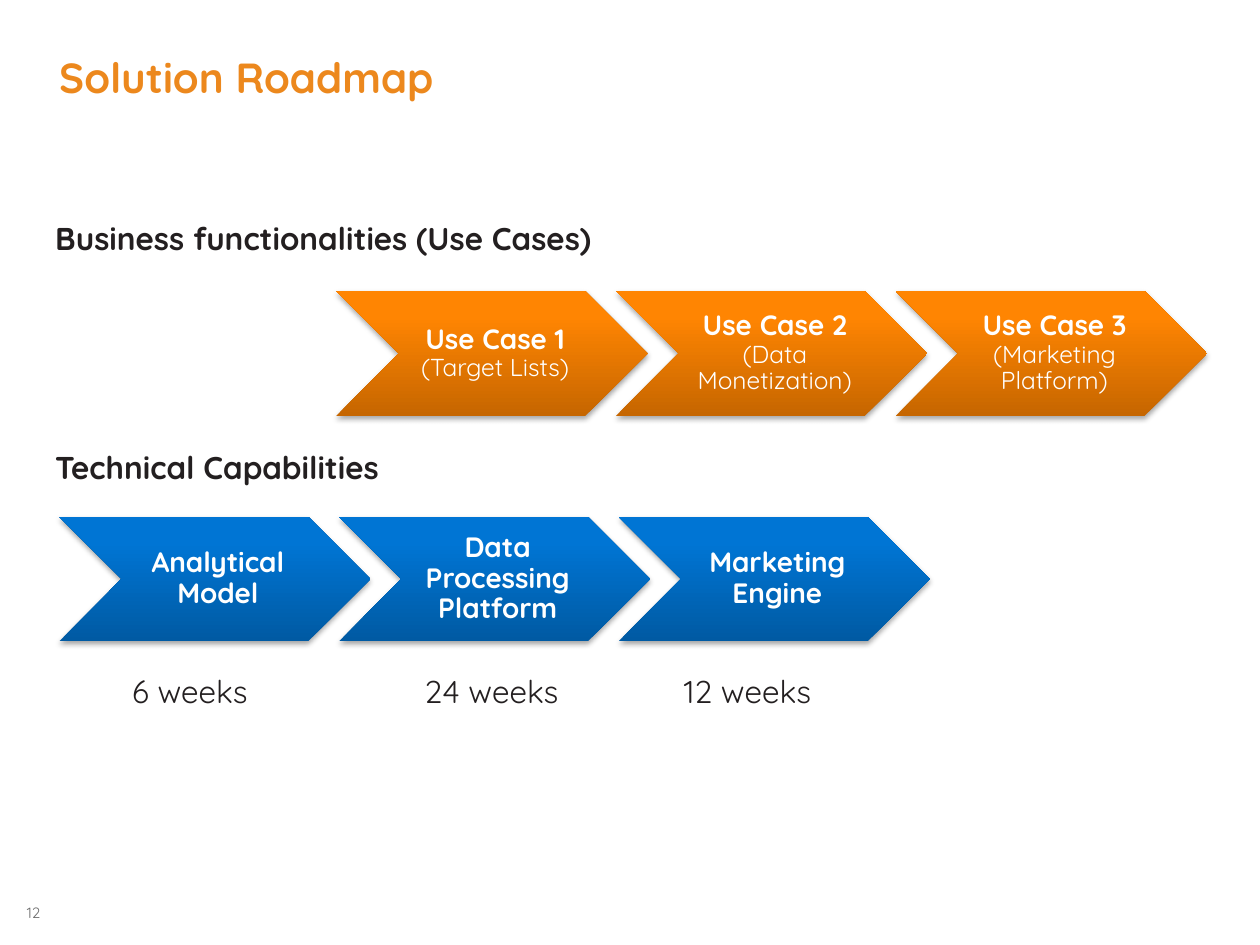
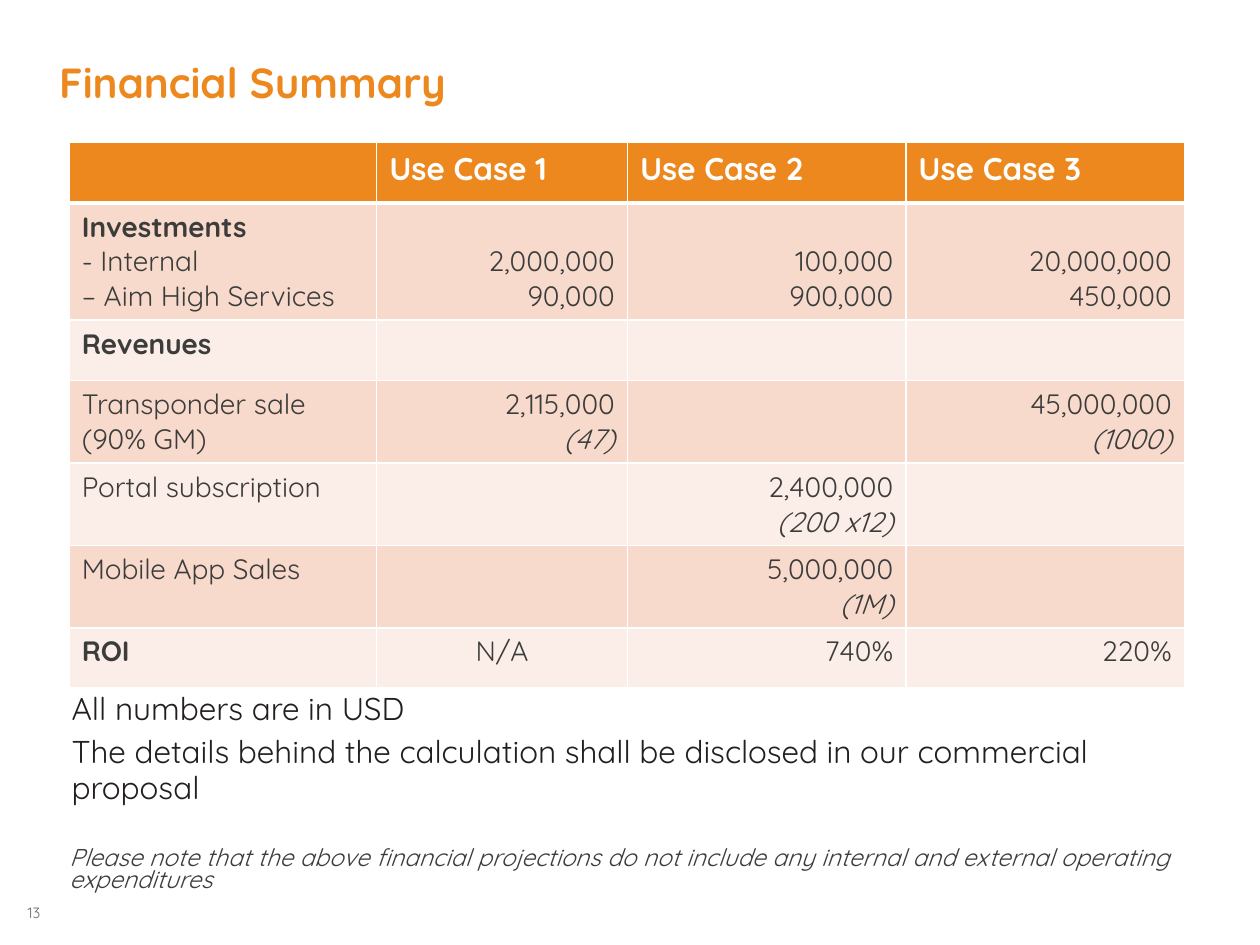
from dataclasses import dataclass

from lxml import etree
from pptx import Presentation
from pptx.dml.color import RGBColor
from pptx.enum.shapes import MSO_SHAPE
from pptx.enum.text import MSO_ANCHOR, MSO_AUTO_SIZE, PP_ALIGN
from pptx.oxml.ns import qn
from pptx.util import Inches, Pt

CHEVRON = MSO_SHAPE.CHEVRON
LEFT, CENTER, RIGHT = PP_ALIGN.LEFT, PP_ALIGN.CENTER, PP_ALIGN.RIGHT
TOP, MIDDLE, BOTTOM = MSO_ANCHOR.TOP, MSO_ANCHOR.MIDDLE, MSO_ANCHOR.BOTTOM
NO_AUTOFIT = MSO_AUTO_SIZE.NONE
TITLE_ONLY, TITLE_AND_BODY = 5, 1


@dataclass(frozen=True)
class Theme:
    font: str = "Quicksand"
    accent: str = "EC881D"
    ink: str = "231F20"
    table_ink: str = "3C3C3B"
    muted: str = "6C6C6C"
    white: str = "FFFFFF"
    bands: tuple = ("F8DACD", "FBEDE8")
    orange: tuple = ("C66600", "FF8502")
    blue: tuple = ("005AA3", "0075D4")
    title_size: float = 24
    text_size: float = 18
    cell_size: float = 16
    detail_size: float = 14
    note_size: float = 13.9
    number_size: float = 8.5


THEME = Theme()

# Content: roadmap
ROADMAP_TITLE = "Solution Roadmap"
HEADINGS = [  # text, top, width
    ("Business functionalities (Use Cases)", 1.71, 4.47),
    ("Technical Capabilities", 3.53, 2.94),
]
CHEVRON_ROWS = [  # left, top, colours, steps as (name, detail)
    (2.67, 2.31, THEME.orange, [
        ("Use Case 1 ", "(Target Lists)"),
        ("Use Case 2 ", "(Data Monetization)"),
        ("Use Case 3 ", "(Marketing Platform)"),
    ]),
    (0.47, 4.1, THEME.blue, [
        ("Analytical Model", ""),
        ("Data Processing Platform", ""),
        ("Marketing Engine", ""),
    ]),
]
DURATIONS = [  # text, left, width
    ("6 weeks", 0.95, 1.18),
    ("24 weeks", 3.27, 1.32),
    ("12 weeks", 5.33, 1.32),
]
CHEVRON_WIDTH, CHEVRON_HEIGHT, CHEVRON_STEP = 2.47, 0.99, 2.22

# Content: finances
FINANCE_TITLE = "Financial Summary"
COLUMN_WIDTHS = [2.44, 1.99, 2.21, 2.21]
ROW_HEIGHTS = [0.48, 0.93, 0.48, 0.65, 0.65, 0.65, 0.48]
TABLE_ROWS = [  # each cell is a list of lines
    [[], ["Use Case 1"], ["Use Case 2"], ["Use Case 3"]],
    [["Investments", "- Internal", "– Aim High Services"],
     ["2,000,000", "90,000"], ["100,000", "900,000"], ["20,000,000", "450,000"]],
    [["Revenues"], [], [], []],
    [["Transponder sale (90% GM)"],
     ["2,115,000", "(47)"], [], ["45,000,000", "(1000)"]],
    [["Portal subscription"], [], ["2,400,000", "(200 x12)"], []],
    [["Mobile App Sales"], [], ["5,000,000", "(1M)"], []],
    [["ROI"], ["N/A"], ["740%"], ["220%"]],
]
BOLD_LABELS = {"Investments", "Revenues", "ROI"}
INVESTMENT_ROW = 1
REMARKS = [
    "All numbers are in USD",
    "The details behind the calculation shall be disclosed in our commercial proposal",
]
NOTE = ("Please note that the above financial projections do not include any "
        "internal and external operating expenditures")


# Text helpers
def write(frame, paragraphs, *, size=THEME.text_size, color=THEME.ink, bold=False,
          italic=False, align=LEFT, spacing=None, gap=0, anchor=TOP,
          margins=None, wrap=True):
    """Fill a frame; a paragraph is a string or a list of (text, format) spans."""
    frame.word_wrap = wrap
    frame.auto_size = NO_AUTOFIT
    frame.vertical_anchor = anchor
    if margins is not None:
        (frame.margin_left, frame.margin_top,
         frame.margin_right, frame.margin_bottom) = map(Inches, margins)
    for index, spans in enumerate(paragraphs):
        para = frame.add_paragraph() if index else frame.paragraphs[0]
        para.alignment = align
        para.space_before = Pt(gap if index else 0)
        if spacing:
            para.line_spacing = spacing
        for text, changes in [(spans, {})] if isinstance(spans, str) else spans:
            look = {"size": size, "bold": bold, "italic": italic, **changes}
            span = para.add_run()
            span.text = text
            span.font.name = THEME.font
            span.font.size = Pt(look["size"])
            span.font.bold = look["bold"]
            span.font.italic = look["italic"]
            span.font.color.rgb = RGBColor.from_string(color)


def place(shape, left, top, width, height):
    shape.left, shape.top = Inches(left), Inches(top)
    shape.width, shape.height = Inches(width), Inches(height)


def add_text(page, paragraphs, left, top, width, height, **look):
    box = page.shapes.add_textbox(*map(Inches, (left, top, width, height)))
    write(box.text_frame, paragraphs, **look)


def add_page(deck, layout, title, number, title_top):
    page = deck.slides.add_slide(deck.slide_layouts[layout])
    place(page.shapes.title, 0.47, title_top, 9, 0.77)
    write(page.shapes.title.text_frame, [title], size=THEME.title_size,
          color=THEME.accent, bold=True, spacing=0.95, anchor=BOTTOM,
          margins=(0, 0, 0, 0))
    add_text(page, [number], 0.17, 7.17, 0.15, 0.14, size=THEME.number_size,
             color=THEME.muted, align=RIGHT, margins=(0, 0, 0, 0), wrap=False)
    return page


# Shape and table helpers
def add_shadow(shape):
    effects = etree.SubElement(shape._element.spPr, qn("a:effectLst"))
    shadow = etree.SubElement(effects, qn("a:outerShdw"), blurRad="40000",
                              dist="23000", dir="5400000", rotWithShape="0")
    color = etree.SubElement(shadow, qn("a:srgbClr"), val="000000")
    etree.SubElement(color, qn("a:alpha"), val="35000")


def add_chevron(page, left, top, colors, name, detail):
    shape = page.shapes.add_shape(CHEVRON, *map(
        Inches, (left, top, CHEVRON_WIDTH, CHEVRON_HEIGHT)))
    shape.fill.gradient()
    shape.fill.gradient_angle = 90
    for stop, position, color in zip(shape.fill.gradient_stops, (0, 0.8), colors):
        stop.position = position
        stop.color.rgb = RGBColor.from_string(color)
    shape.line.fill.background()
    add_shadow(shape)
    spans = [(name, {"bold": True})]
    if detail:
        spans.append((detail, {"size": THEME.detail_size}))
    write(shape.text_frame, [spans], size=THEME.cell_size, color=THEME.white,
          align=CENTER, spacing=0.9, anchor=MIDDLE, margins=(0.07, 0.02, 0.02, 0.02))


def set_borders(cell, **widths):
    properties = cell._tc.get_or_add_tcPr()
    for side in "LRTB":
        line = etree.SubElement(properties, qn(f"a:ln{side}"),
                                w=str(Pt(widths.get(side, 1))))
        fill = etree.SubElement(line, qn("a:solidFill"))
        etree.SubElement(fill, qn("a:srgbClr"), val=THEME.white)


def write_cell(cell, row, column, lines):
    header = row == 0
    if header:
        set_borders(cell, B=3)
    else:
        set_borders(cell, T=3 if row == 1 else 1)
    cell.fill.solid()
    cell.fill.fore_color.rgb = RGBColor.from_string(
        THEME.accent if header else THEME.bands[(row - 1) % 2])
    if not lines:
        return
    if header or column == 0:
        align = LEFT
    else:
        align = CENTER if lines == ["N/A"] else RIGHT
    paragraphs = [[(line, {"bold": header or line in BOLD_LABELS,
                           "italic": line.startswith("(")})] for line in lines]
    write(cell.text_frame, paragraphs, align=align,
          size=THEME.text_size if header else THEME.cell_size,
          color=THEME.white if header else THEME.table_ink)
    # Amounts line up with the sub-items under the row's heading
    cell.vertical_anchor = BOTTOM if row == INVESTMENT_ROW and column else TOP


def add_finance_table(page):
    table = page.shapes.add_table(
        len(TABLE_ROWS), len(COLUMN_WIDTHS), Inches(0.55), Inches(1.13),
        Inches(sum(COLUMN_WIDTHS)), Inches(sum(ROW_HEIGHTS))).table
    table.horz_banding = False
    for column, width in zip(table.columns, COLUMN_WIDTHS):
        column.width = Inches(width)
    for row, height in zip(table.rows, ROW_HEIGHTS):
        row.height = Inches(height)
    for row, cells in enumerate(TABLE_ROWS):
        for column, lines in enumerate(cells):
            write_cell(table.cell(row, column), row, column, lines)


# Pages
def build_roadmap(deck):
    page = add_page(deck, TITLE_ONLY, ROADMAP_TITLE, "12", 0.05)
    for left, top, colors, steps in CHEVRON_ROWS:
        for index, (name, detail) in enumerate(steps):
            add_chevron(page, left + index * CHEVRON_STEP, top, colors, name, detail)
    for text, top, width in HEADINGS:
        add_text(page, [text], 0.34, top, width, 0.39, bold=True,
                 spacing=0.95, wrap=False)
    for text, left, width in DURATIONS:
        add_text(page, [text], left, 5.31, width, 0.39, spacing=0.95, wrap=False)


def build_finances(deck):
    page = add_page(deck, TITLE_AND_BODY, FINANCE_TITLE, "13", 0.09)
    note = page.placeholders[1]
    place(note, 0.55, 6.74, 9, 0.36)
    properties = note.text_frame.paragraphs[0]._p.get_or_add_pPr()
    properties.set("marL", "0")
    properties.set("indent", "0")
    etree.SubElement(properties, qn("a:buNone"))
    write(note.text_frame, [NOTE], size=THEME.note_size, color=THEME.table_ink,
          italic=True, spacing=0.75, margins=(0, 0, 0, 0))
    add_finance_table(page)
    add_text(page, REMARKS, 0.47, 5.44, 9.17, 1.02, spacing=0.95, gap=4)


def main():
    deck = Presentation()
    deck.slide_width, deck.slide_height = Inches(10), Inches(7.5)
    build_roadmap(deck)
    build_finances(deck)
    deck.save("out.pptx")


if __name__ == "__main__":
    main()
